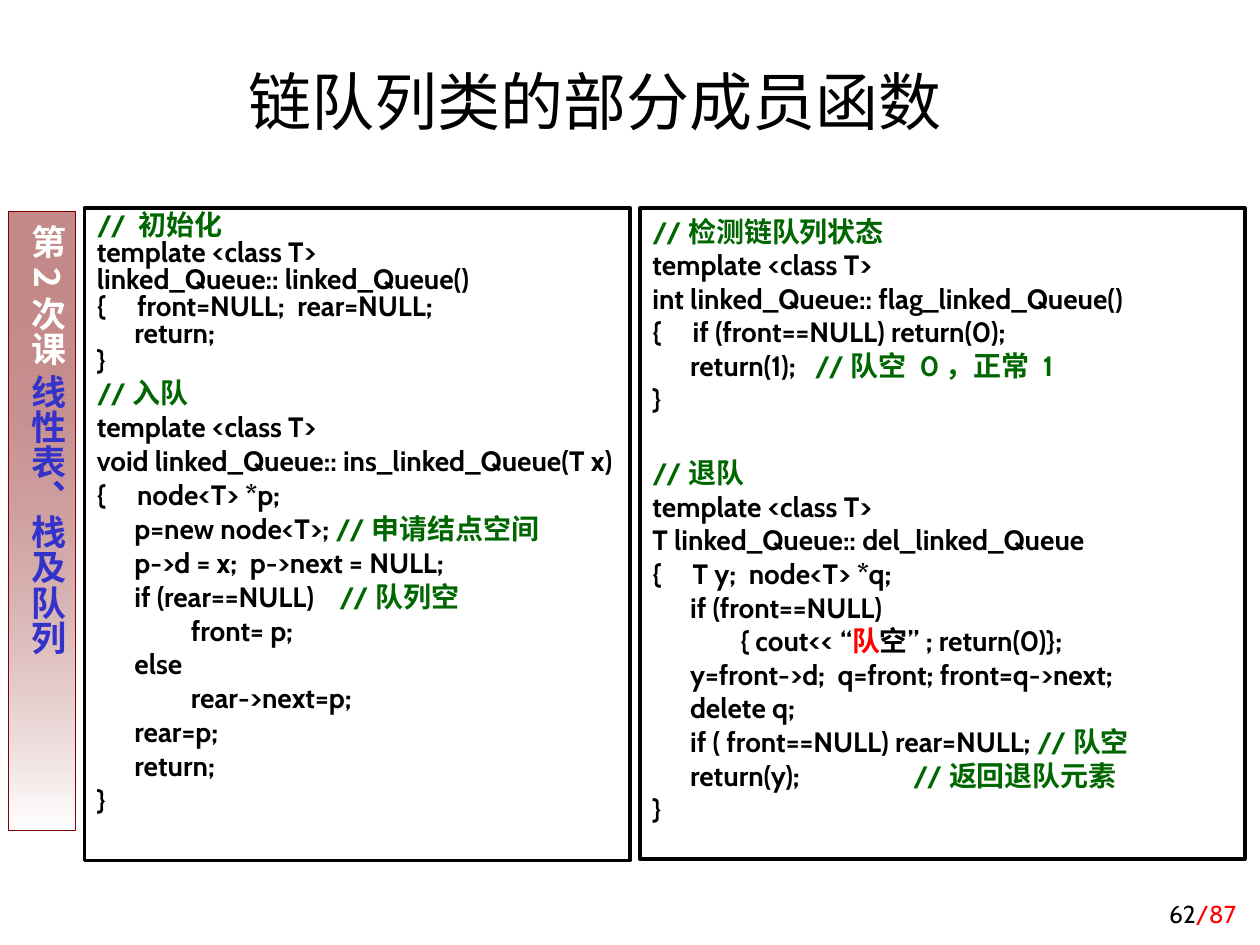
from dataclasses import dataclass

import pptx
import pptx.dml.color
import pptx.enum.shapes
import pptx.enum.text
import pptx.oxml.ns
import pptx.util
from lxml import etree
from pptx.util import Inches

Align = pptx.enum.text.PP_ALIGN
Anchor = pptx.enum.text.MSO_ANCHOR
qn = pptx.oxml.ns.qn


@dataclass(frozen=True)
class Theme:
    black: str = "000000"
    white: str = "FFFFFF"
    comment: str = "006600"
    red: str = "FF0000"
    maroon: str = "800000"
    topic: str = "3333CC"
    font: str = "Cabin"
    sidebar_font: str = "Noto Sans CJK SC"
    title_size: int = 36
    sidebar_size: int = 20
    code_size: int = 16
    number_size: int = 14


theme = Theme()


def rgb(code):
    return pptx.dml.color.RGBColor.from_string(code)


def write_spans(para, spans, size, align, bold=False, font=theme.font):
    """Fill a paragraph with (text, colour) spans that share one font."""
    para.alignment = align
    para.font.size = pptx.util.Pt(size)
    para.font.bold = bold
    para.font.name = font
    defaults = para._p.pPr.find(qn("a:defRPr"))
    etree.SubElement(defaults, qn("a:ea")).set("typeface", font)
    for text, colour in spans:
        span = para.add_run()
        span.text = text
        span.font.color.rgb = rgb(colour)


deck = pptx.Presentation()
deck.slide_width, deck.slide_height = Inches(10), Inches(7.5)
page = deck.slides.add_slide(deck.slide_layouts[5])

# Sidebar with the lesson name
sidebar = page.shapes.add_shape(
    pptx.enum.shapes.MSO_SHAPE.RECTANGLE,
    Inches(0.07), Inches(1.68), Inches(0.53), Inches(4.91))
sidebar.shadow.inherit = False
sidebar.fill.gradient()
sidebar.fill.gradient_angle = 270
for stop, position, colour in zip(sidebar.fill.gradient_stops, (0, 1), (theme.maroon, theme.white)):
    stop.position = position
    stop.color.rgb = rgb(colour)
first_colour = sidebar._element.spPr.find(".//" + qn("a:srgbClr"))
etree.SubElement(first_colour, qn("a:alpha")).set("val", "46000")
sidebar.line.color.rgb = rgb(theme.maroon)
sidebar.line.width = pptx.util.Pt(0.75)
frame = sidebar.text_frame
frame.margin_left = frame.margin_right = Inches(0.05)
frame.margin_top = frame.margin_bottom = Inches(0.1)
frame.vertical_anchor = Anchor.TOP
frame._txBody.bodyPr.set("vert", "eaVert")
write_spans(frame.paragraphs[0],
            [("第2次课 ", theme.white), ("线性表、栈及队列", theme.topic)],
            theme.sidebar_size, Align.CENTER, True, theme.sidebar_font)

# Page number
number = page.shapes.add_textbox(Inches(7.83), Inches(6.92), Inches(2.08), Inches(0.5))
number.text_frame.word_wrap = True
number.text_frame.vertical_anchor = Anchor.BOTTOM
write_spans(number.text_frame.paragraphs[0],
            [("62", theme.black), ("/87", theme.red)], theme.number_size, Align.RIGHT)

# Title
title = page.shapes.title
title.left, title.top = Inches(1.69), Inches(0.36)
title.width, title.height = Inches(6.06), Inches(0.79)
title.text_frame.auto_size = pptx.enum.text.MSO_AUTO_SIZE.NONE
title.text_frame.vertical_anchor = Anchor.BOTTOM
write_spans(title.text_frame.paragraphs[0],
            [("链队列类的部分成员函数", theme.black)], theme.title_size, Align.CENTER)

# Code panels: each function is (space before its first line, space before the others, code)
initialise = """// 初始化
template <class T>
linked_Queue:: linked_Queue()
{     front=NULL;  rear=NULL;
      return;
}"""
enqueue = """//入队
template <class T>
void linked_Queue:: ins_linked_Queue(T x)
{     node<T> *p;
      p=new node<T>; //申请结点空间
      p->d = x;  p->next = NULL;
      if (rear==NULL)    //队列空
               front= p;
      else
               rear->next=p;
      rear=p;
      return;
}"""
check_state = """//检测链队列状态
template <class T>
int linked_Queue:: flag_linked_Queue()
{     if (front==NULL) return(0);
      return(1);   //队空 0，正常 1
}"""
dequeue = """//退队
template <class T>
T linked_Queue:: del_linked_Queue
{     T y;  node<T> *q;
      if (front==NULL)
              { cout<<“队空”; return(0)};
      y=front->d;  q=front; front=q->next;
      delete q;
      if ( front==NULL) rear=NULL; //队空
      return(y);                  //返回退队元素
}"""
panels = [
    (0.67, 4.33, 5.18, 0.8, [(0, 0, initialise), (4, 4, enqueue)]),
    (5.08, 4.8, 5.17, 1.0, [(0, 0, check_state), (23, 0, dequeue)]),
]
for left, width, height, line_spacing, functions in panels:
    panel = page.shapes.add_shape(
        pptx.enum.shapes.MSO_SHAPE.RECTANGLE,
        Inches(left), Inches(1.65), Inches(width), Inches(height))
    panel.shadow.inherit = False
    panel.fill.solid()
    panel.fill.fore_color.rgb = rgb(theme.white)
    panel.line.color.rgb = rgb(theme.black)
    panel.line.width = pptx.util.Pt(2)
    frame = panel.text_frame
    frame.word_wrap = True
    frame.vertical_anchor = Anchor.TOP
    para = frame.paragraphs[0]
    for first_gap, line_gap, code in functions:
        for index, line in enumerate(code.splitlines()):
            if para is None:
                para = frame.add_paragraph()
            statement, slashes, comment = line.partition("//")
            before, quote, message = statement.partition("“")
            spans = [(before + quote, theme.black), (message[:1], theme.red),
                     (message[1:], theme.black), (slashes + comment, theme.comment)]
            para.line_spacing = line_spacing
            para.space_before = pptx.util.Pt(line_gap if index else first_gap)
            write_spans(para, [span for span in spans if span[0]],
                        theme.code_size, Align.LEFT, True)
            para._p.pPr.set("marL", str(Inches(0.38)))
            para._p.pPr.set("indent", str(Inches(-0.38)))
            para = None

deck.save("out.pptx")
